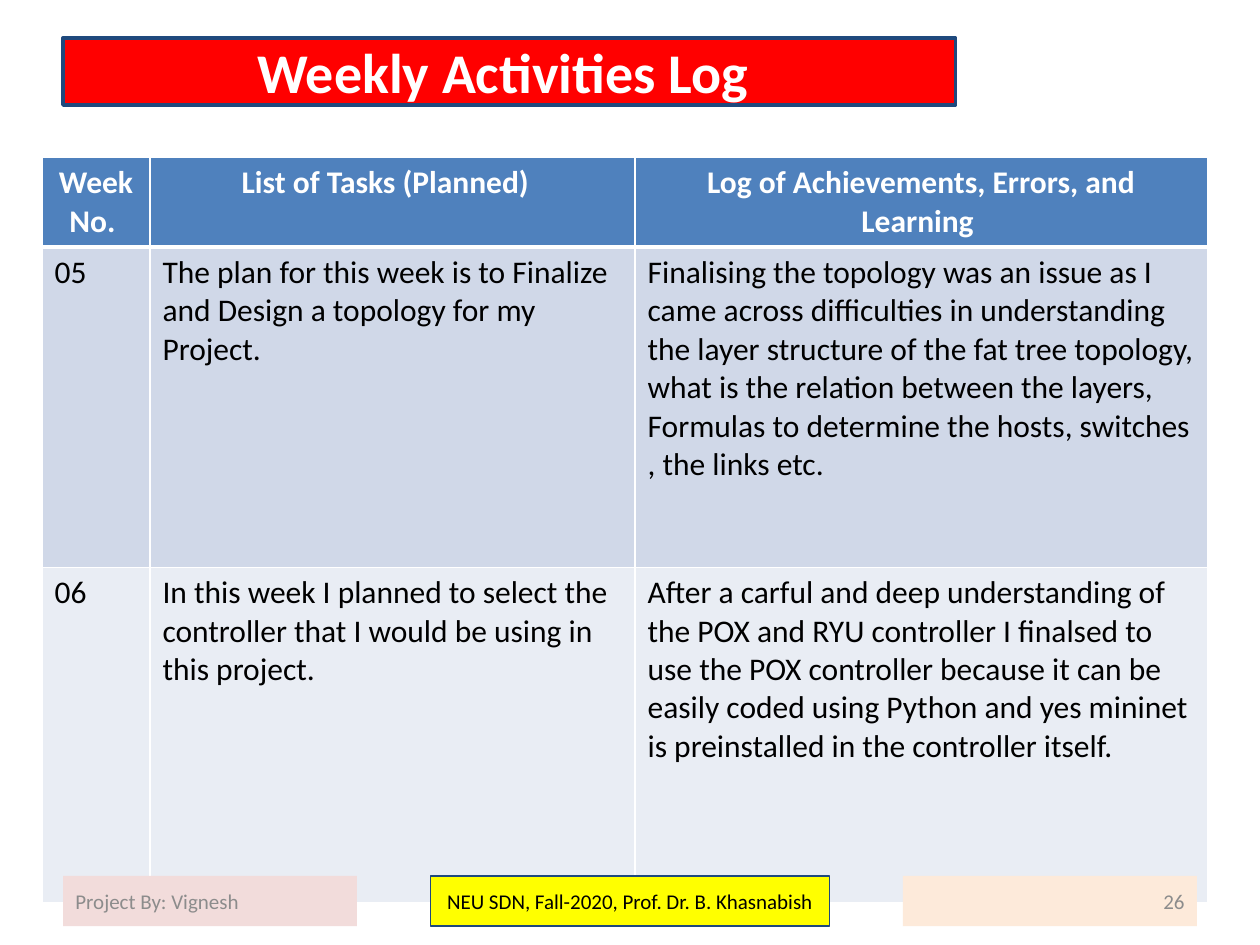
from dataclasses import dataclass

import pptx
import pptx.dml.color
import pptx.enum.shapes
import pptx.enum.text
import pptx.oxml.ns
import pptx.util
from lxml import etree

Pt = pptx.util.Pt
Align = pptx.enum.text.PP_ALIGN
FONT = "Calibri"
COLORS = {
    "white": "FFFFFF",
    "black": "000000",
    "grey": "8C8C8C",
    "navy": "1F497D",
    "red": "FF0000",
    "yellow": "FFFF00",
    "pink": "F2DCDB",
    "peach": "FDEADA",
    "header": "4F81BD",
    "odd_row": "D0D8E8",
    "even_row": "E9EDF4",
}


@dataclass
class Banner:
    text: str
    left: float
    top: float
    width: float
    height: float
    fill: str
    color: str
    align: Align
    size: float = 12
    bold: bool = False
    line_width: float = 0


@dataclass
class LogRow:
    height: float
    fill: str
    texts: tuple[str, str, str]
    is_header: bool = False


BANNERS = [
    Banner("Weekly Activities Log ", 36, 21.6, 510, 38.4, "red", "white",
           Align.CENTER, size=32, bold=True, line_width=2),
    Banner("Project By: Vignesh", 36, 500.5, 168, 28.75, "pink", "grey", Align.LEFT),
    Banner("NEU SDN, Fall-2020, Prof. Dr. B. Khasnabish", 246, 500.5, 228, 28.75,
           "yellow", "black", Align.CENTER, line_width=1),
    Banner("26", 516, 500.5, 168, 28.75, "peach", "grey", Align.RIGHT),
]
COLUMN_WIDTHS = [61.7, 277.2, 327]
LOG_ROWS = [
    LogRow(50.4, "header", (
        "Week No. ",
        "List of Tasks (Planned)  ",
        "Log of Achievements, Errors, and Learning ",
    ), is_header=True),
    LogRow(183, "odd_row", (
        "05",
        "The plan for this week is to Finalize and Design a topology for my Project.",
        "Finalising the topology was an issue as I came across difficulties in "
        "understanding the layer structure of the fat tree topology, what is the "
        "relation between the layers, Formulas to determine the hosts, switches , "
        "the links etc.",
    )),
    LogRow(191.5, "even_row", (
        "06",
        "In this week I planned to select the controller that I would be using in "
        "this project.",
        "After a carful and deep understanding of the POX and RYU controller I "
        "finalsed to use the POX controller because it can be easily coded using "
        "Python and yes mininet is preinstalled in the controller itself.",
    )),
]


def rgb(name: str) -> pptx.dml.color.RGBColor:
    return pptx.dml.color.RGBColor.from_string(COLORS[name])


def write_text(text_frame, text: str, size: float, color: str, bold: bool, align: Align) -> None:
    text_frame.word_wrap = True
    paragraph = text_frame.paragraphs[0]
    paragraph.alignment = align
    run = paragraph.add_run()
    run.text = text
    run.font.name = FONT
    run.font.size = Pt(size)
    run.font.bold = bold
    run.font.color.rgb = rgb(color)


def draw_banner(slide, banner: Banner) -> None:
    shape = slide.shapes.add_shape(
        pptx.enum.shapes.MSO_SHAPE.RECTANGLE,
        Pt(banner.left), Pt(banner.top), Pt(banner.width), Pt(banner.height))
    shape.shadow.inherit = False
    shape.fill.solid()
    shape.fill.fore_color.rgb = rgb(banner.fill)
    if banner.line_width:
        shape.line.color.rgb = rgb("navy")
        shape.line.width = Pt(banner.line_width)
    else:
        shape.line.fill.background()
    shape.text_frame.vertical_anchor = pptx.enum.text.MSO_ANCHOR.MIDDLE
    write_text(shape.text_frame, banner.text, banner.size, banner.color, banner.bold, banner.align)


def set_borders(cell, widths: dict[str, float]) -> None:
    qn = pptx.oxml.ns.qn
    properties = cell._tc.get_or_add_tcPr()
    for side, width in widths.items():
        line = etree.SubElement(properties, qn(f"a:ln{side}"), w=str(Pt(width)))
        fill = etree.SubElement(line, qn("a:solidFill"))
        etree.SubElement(fill, qn("a:srgbClr"), val=COLORS["white"])


def draw_log(slide, left: float, top: float, rows: list[LogRow], widths: list[float]) -> None:
    table = slide.shapes.add_table(
        len(rows), len(widths), Pt(left), Pt(top),
        Pt(sum(widths)), Pt(sum(row.height for row in rows))).table
    for column, width in zip(table.columns, widths):
        column.width = Pt(width)
    for index, row in enumerate(rows):
        table.rows[index].height = Pt(row.height)
        top_width = 3 if index and rows[index - 1].is_header else 1
        bottom_width = 3 if row.is_header else 1
        for cell, text in zip(table.rows[index].cells, row.texts):
            set_borders(cell, {"L": 1, "R": 1, "T": top_width, "B": bottom_width})
            cell.fill.solid()
            cell.fill.fore_color.rgb = rgb(row.fill)
            write_text(cell.text_frame, text, 18,
                       "white" if row.is_header else "black", row.is_header,
                       Align.CENTER if row.is_header else Align.LEFT)


def main() -> None:
    presentation = pptx.Presentation()
    presentation.slide_width = Pt(720)
    presentation.slide_height = Pt(540)
    slide = presentation.slides.add_slide(presentation.slide_layouts[6])
    title, *footers = BANNERS
    draw_banner(slide, title)
    draw_log(slide, 24, 90, LOG_ROWS, COLUMN_WIDTHS)
    for footer in footers:
        draw_banner(slide, footer)
    presentation.save("out.pptx")


if __name__ == "__main__":
    main()
